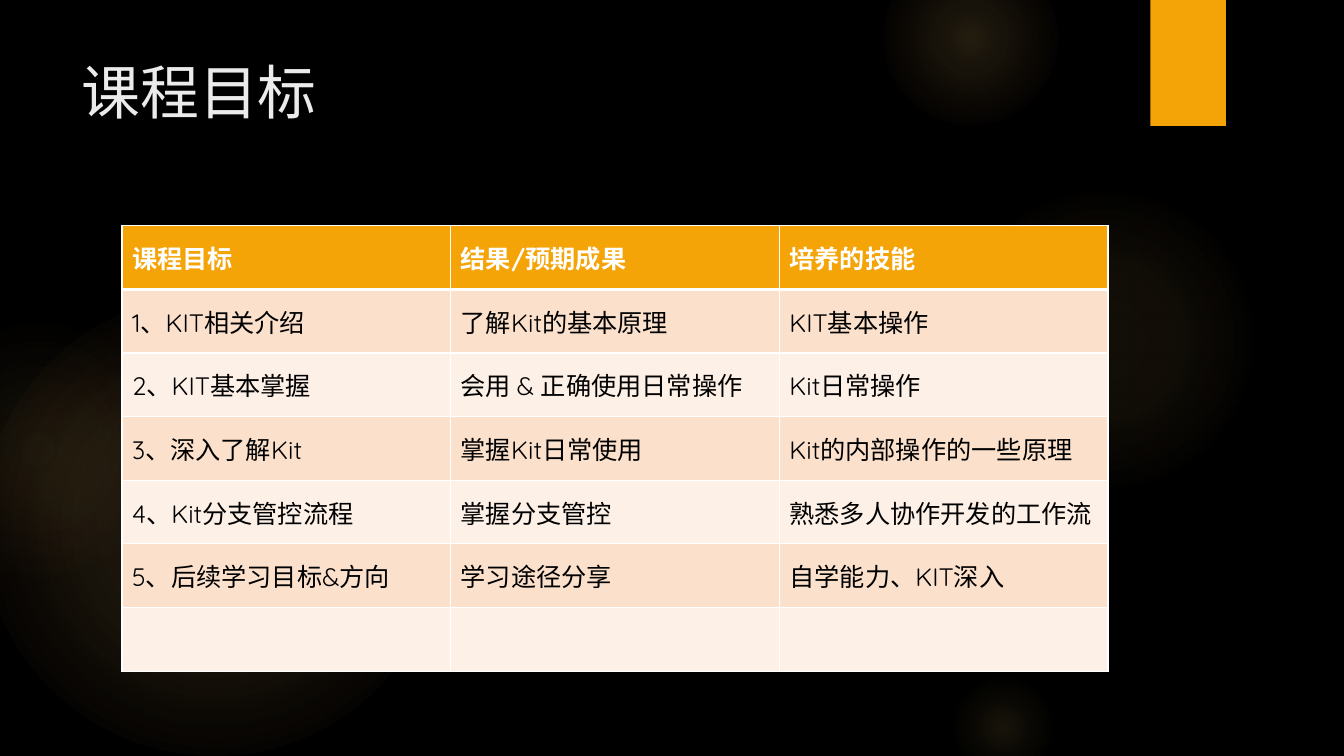
import pptx
import pptx.dml.color
import pptx.enum.shapes
import pptx.enum.text
import pptx.oxml
import pptx.oxml.ns
import pptx.util
from pptx.util import Inches

RGBColor = pptx.dml.color.RGBColor
MSO_SHAPE = pptx.enum.shapes.MSO_SHAPE
MSO_ANCHOR = pptx.enum.text.MSO_ANCHOR

BLACK = RGBColor(0x00, 0x00, 0x00)
WHITE = RGBColor(0xFF, 0xFF, 0xFF)
ORANGE = RGBColor(0xF5, 0xA4, 0x08)
TITLE_GREY = RGBColor(0xEB, 0xEB, 0xEB)
BAND_DARK = RGBColor(0xFB, 0xE0, 0xCC)
BAND_LIGHT = RGBColor(0xFD, 0xF0, 0xE7)
GLOW = RGBColor(0xFA, 0xC9, 0x6A)
GLOW_RED = RGBColor(0xF5, 0x9B, 0x74)
FONT = "Quicksand"

# left, top, diameter, gradient stops (position %, colour, opacity %)
GLOWS = [
    (-0.17, 2.92, 4.58, [(0, GLOW, 11), (36, GLOW, 10), (75, GLOW, 0)]),
    (-0.92, 3.17, 2.58, [(0, GLOW, 8), (36, GLOW, 5), (71, GLOW_RED, 0)]),
    (9.41, 1.83, 3.08, [(0, GLOW, 7), (36, GLOW, 6), (69, GLOW, 0)]),
    (8.75, -0.5, 1.75, [(0, GLOW, 14), (36, GLOW, 7), (73, GLOW, 0)]),
    (9.41, 6.67, 1.08, [(0, GLOW, 10), (31, GLOW, 5), (66, GLOW, 0)]),
]

GOALS = [
    ("课程目标", "结果/预期成果", "培养的技能"),
    ("1、KIT相关介绍", "了解Kit的基本原理", "KIT基本操作"),
    ("2、KIT基本掌握", "会用 & 正确使用日常操作", "Kit日常操作"),
    ("3、深入了解Kit", "掌握Kit日常使用", "Kit的内部操作的一些原理"),
    ("4、Kit分支管控流程", "掌握分支管控", "熟悉多人协作开发的工作流"),
    ("5、后续学习目标&方向", "学习途径分享", "自学能力、KIT深入"),
    ("", "", ""),
]


def parse(tag, attrs, content):
    ns = pptx.oxml.ns.nsdecls("a")
    return pptx.oxml.parse_xml(f"<a:{tag} {ns} {attrs}>{content}</a:{tag}>")


def add_plain_shape(slide, kind, left, top, width, height):
    sp = slide.shapes.add_shape(
        kind, Inches(left), Inches(top), Inches(width), Inches(height))
    sp.shadow.inherit = False
    sp.line.fill.background()
    return sp


def add_glow(slide, left, top, size, stops):
    """Add a circle that fades out from its centre."""
    sp = add_plain_shape(slide, MSO_SHAPE.OVAL, left, top, size, size)
    sp.fill.background()
    gs = "".join(
        f'<a:gs pos="{pos * 1000}"><a:srgbClr val="{color}">'
        f'<a:alpha val="{alpha * 1000}"/></a:srgbClr></a:gs>'
        for pos, color, alpha in stops)
    centre = ('<a:path path="circle"><a:fillToRect l="50000" t="50000" '
              'r="50000" b="50000"/></a:path>')
    sp_pr = sp._element.spPr
    no_fill = sp_pr.find(pptx.oxml.ns.qn("a:noFill"))
    sp_pr.replace(no_fill, parse("gradFill", "", f"<a:gsLst>{gs}</a:gsLst>{centre}"))


def add_tab(slide):
    sp = add_plain_shape(slide, MSO_SHAPE.RECTANGLE, 11.41, 0, 0.75, 1.25)
    sp.fill.solid()
    sp.fill.fore_color.rgb = ORANGE


def format_runs(p, size, color, bold=False):
    for r in p.runs:
        r.font.name = FONT
        r.font.size = pptx.util.Pt(size)
        r.font.bold = bold
        r.font.color.rgb = color


def add_title(slide, text):
    box = slide.shapes.add_textbox(
        Inches(0.71), Inches(0.5), Inches(10.29), Inches(1.53))
    tf = box.text_frame
    tf.word_wrap = True
    tf.text = text
    format_runs(tf.paragraphs[0], 42, TITLE_GREY)


def set_borders(cell, top, bottom):
    """Draw white borders; top and bottom widths are in points."""
    tc_pr = cell._tc.get_or_add_tcPr()
    for side, width in (("L", 1), ("R", 1), ("T", top), ("B", bottom)):
        tc_pr.append(parse(
            f"ln{side}", f'w="{pptx.util.Pt(width)}"',
            f'<a:solidFill><a:srgbClr val="{WHITE}"/></a:solidFill>'))


def add_goal_table(slide, rows):
    frame = slide.shapes.add_table(
        len(rows), len(rows[0]),
        Inches(1.21), Inches(2.24), Inches(9.78), Inches(4.42))
    table = frame.table
    for i, row in enumerate(rows):
        header = i == 0
        fill = ORANGE if header else BAND_DARK if i % 2 else BAND_LIGHT
        for j, text in enumerate(row):
            cell = table.cell(i, j)
            set_borders(cell, 3 if i == 1 else 1, 3 if header else 1)
            cell.fill.solid()
            cell.fill.fore_color.rgb = fill
            cell.vertical_anchor = MSO_ANCHOR.MIDDLE
            cell.text_frame.text = text
            format_runs(cell.text_frame.paragraphs[0], 18,
                        WHITE if header else BLACK, header)


def main():
    prs = pptx.Presentation()
    prs.slide_width = Inches(13.33)
    prs.slide_height = Inches(7.5)
    slide = prs.slides.add_slide(prs.slide_layouts[6])
    slide.background.fill.solid()
    slide.background.fill.fore_color.rgb = BLACK

    for glow in GLOWS:
        add_glow(slide, *glow)
    add_tab(slide)
    add_title(slide, "课程目标")
    add_goal_table(slide, GOALS)
    prs.save("out.pptx")


if __name__ == "__main__":
    main()
